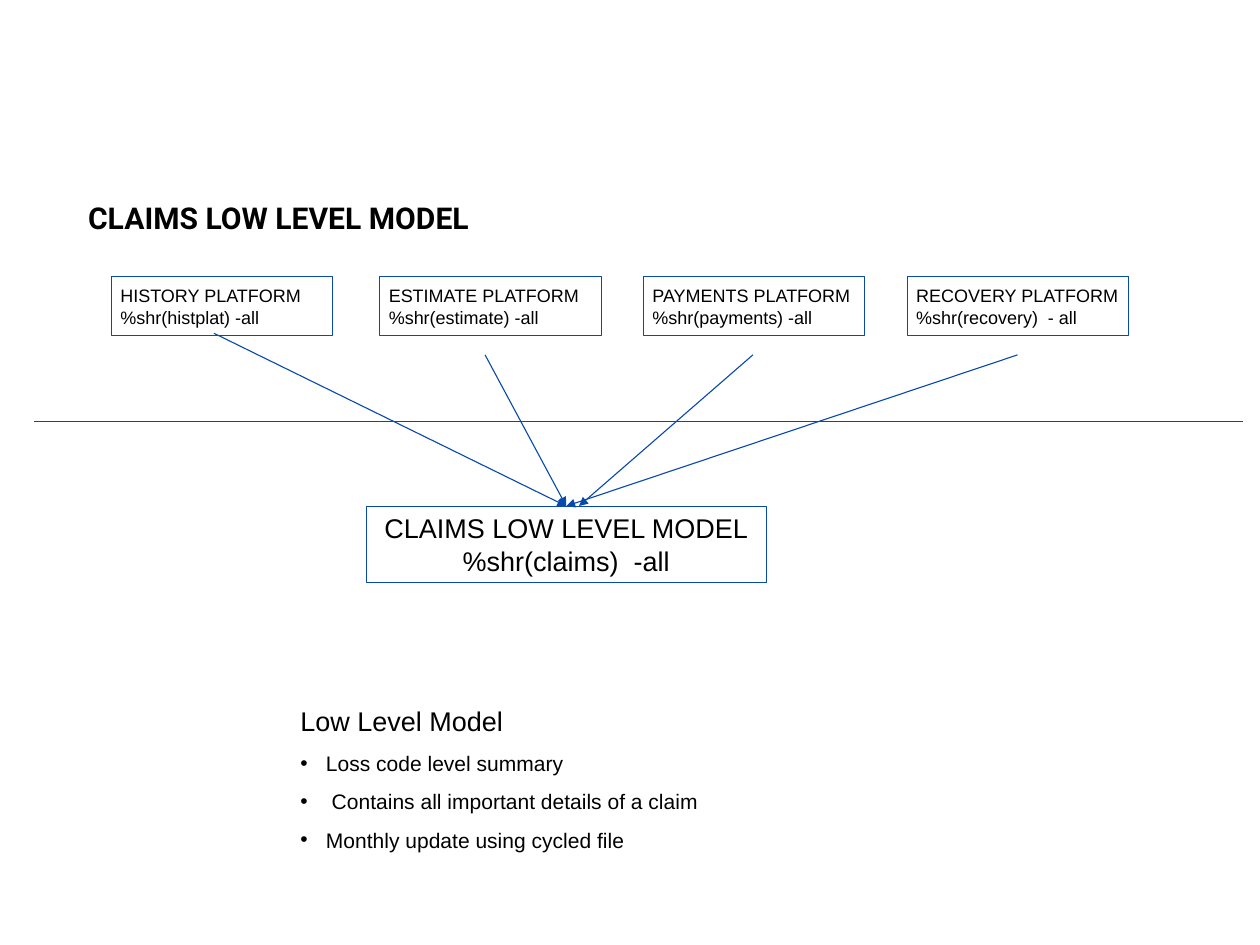
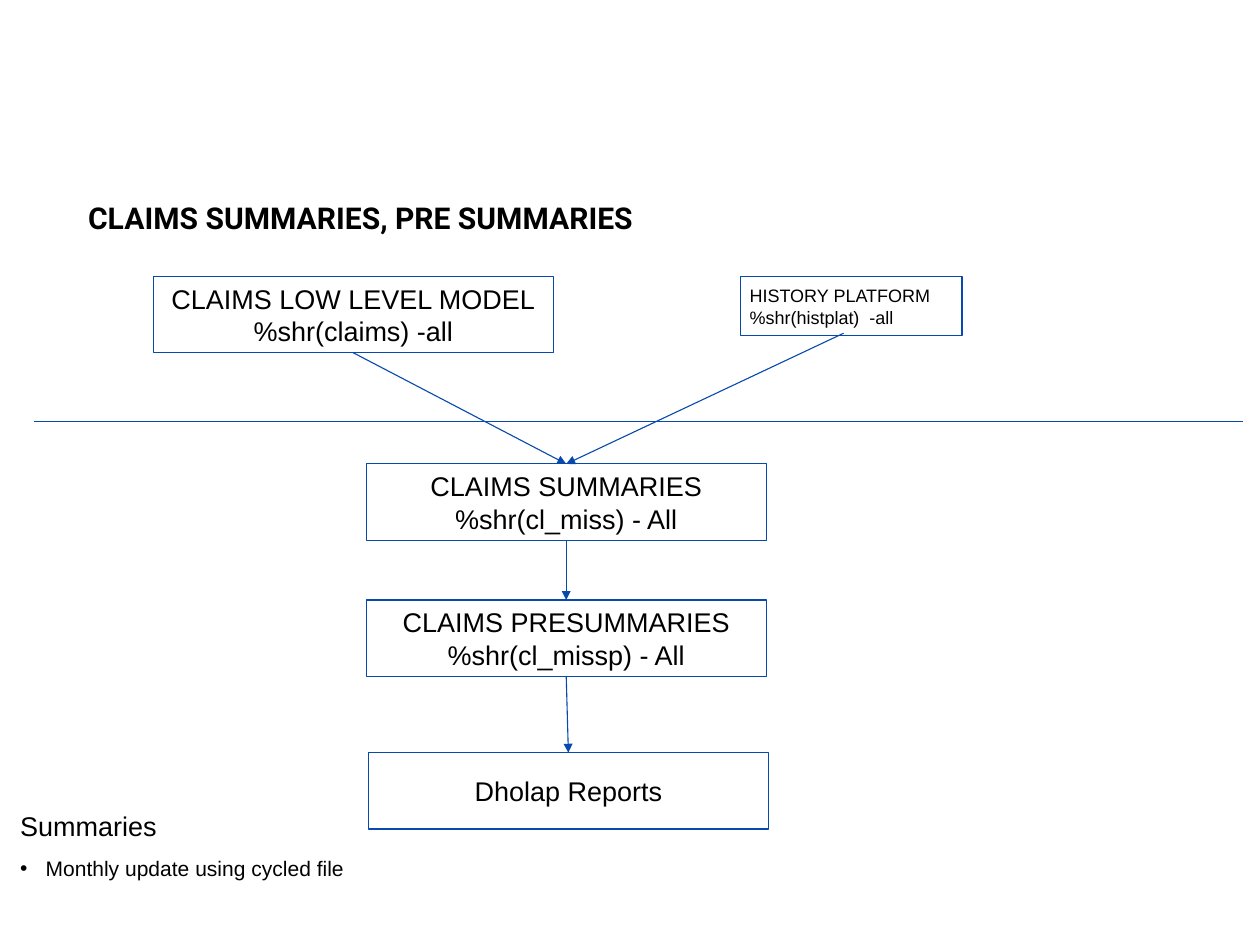
from lxml.etree import SubElement
from pptx import Presentation
from pptx.dml.color import RGBColor
from pptx.enum.shapes import MSO_CONNECTOR, MSO_SHAPE
from pptx.enum.text import MSO_ANCHOR, MSO_AUTO_SIZE, PP_ALIGN
from pptx.oxml.ns import qn
from pptx.util import Pt

COLORS = {"line": "0849AE", "text": "000000"}
TITLE_FONT, BODY_FONT = "Roboto", "Arial"
SLIDE_SIZE = (839.75, 630)
TITLE_AREA = (51.5, 123.1, 711.4, 38.9)
DIVIDER = ((23, 280.8), (828.5, 280.8))
TOP_ROW = 184.3
CENTER_LEFT = 244.1
BULLET_INDENT = 17
TOP, BOTTOM = 0, 2

# A source box is small with left text; a model box is large with centred text.
BOX_STYLES = {
    "source": {"size": (147.6, 39.6), "font": 12, "align": PP_ALIGN.LEFT,
               "anchor": MSO_ANCHOR.TOP, "margins": (6, 5.4, 0, 0)},
    "model": {"size": (266.6, 50.9), "font": 18, "align": PP_ALIGN.CENTER,
              "anchor": MSO_ANCHOR.MIDDLE, "margins": (7.2, 3.6, 7.2, 3.6)},
}

# Boxes: name -> (style, left, top, text).
# Arrows: each end is a box name (joined at its side) or a free point.
PAGES = [
    {
        "title": "CLAIMS LOW LEVEL MODEL",
        "boxes": {
            "history": ("source", 74.2, TOP_ROW, "HISTORY PLATFORM\n%shr(histplat) -all"),
            "estimate": ("source", 253.1, TOP_ROW, "ESTIMATE PLATFORM\n%shr(estimate) -all"),
            "payments": ("source", 428.8, TOP_ROW, "PAYMENTS PLATFORM\n%shr(payments) -all"),
            "recovery": ("source", 604.6, TOP_ROW, "RECOVERY PLATFORM\n%shr(recovery)  - all"),
            "claims": ("model", CENTER_LEFT, 337.4, "CLAIMS LOW LEVEL MODEL\n%shr(claims)  -all"),
        },
        "arrows": [
            ((142.6, 222.2), "claims"),
            ((323.3, 236.6), "claims"),
            ((501.8, 236.6), (385.9, 337.4)),
            ((678.2, 236.6), "claims"),
        ],
        "notes_area": (193, 466.2, 334.8, 157),
        "heading": "Low Level Model",
        "bullets": ["Loss code level summary",
                    " Contains all important details of a claim",
                    "Monthly update using cycled file"],
    },
    {
        "title": "CLAIMS SUMMARIES, PRE SUMMARIES",
        "boxes": {
            "history": ("source", 493.6, TOP_ROW, "HISTORY PLATFORM\n%shr(histplat)  -all"),
            "claims": ("model", 102.2, TOP_ROW, "CLAIMS LOW LEVEL MODEL\n%shr(claims) -all"),
            "summaries": ("model", CENTER_LEFT, 309.3, "CLAIMS SUMMARIES\n%shr(cl_miss) - All"),
            "presummaries": ("model", CENTER_LEFT, 400, "CLAIMS PRESUMMARIES\n%shr(cl_missp) - All"),
            "reports": ("model", 245.5, 501.8, "Dholap Reports"),
        },
        "arrows": [
            ("claims", "summaries"),
            ((562.2, 222.2), "summaries"),
            ("summaries", "presummaries"),
            ("presummaries", "reports"),
        ],
        "notes_area": (6.2, 536.1, 334.8, 90),
        "heading": "Summaries",
        "bullets": ["Monthly update using cycled file"],
    },
]


def color(name):
    return RGBColor.from_string(COLORS[name])


def format_runs(para, font, size, bold=False):
    for span in para.runs:
        span.font.name = font
        span.font.size = Pt(size)
        span.font.bold = bold
        span.font.color.rgb = color("text")


def place(shape, area):
    shape.left, shape.top, shape.width, shape.height = map(Pt, area)


def set_frame(frame, anchor, margins):
    frame.word_wrap = True
    frame.auto_size = MSO_AUTO_SIZE.NONE
    frame.vertical_anchor = anchor
    (frame.margin_left, frame.margin_top,
     frame.margin_right, frame.margin_bottom) = map(Pt, margins)


def fill_title(shape, text):
    place(shape, TITLE_AREA)
    frame = shape.text_frame
    set_frame(frame, MSO_ANCHOR.TOP, (7.2, 3.6, 7.2, 3.6))
    frame.text = text
    para = frame.paragraphs[0]
    para.alignment = PP_ALIGN.LEFT
    para.line_spacing = Pt(30)
    format_runs(para, TITLE_FONT, 20, bold=True)


def fill_notes(shape, area, heading, bullets):
    """Write an unbulleted heading followed by a bulleted list."""
    place(shape, area)
    frame = shape.text_frame
    set_frame(frame, MSO_ANCHOR.TOP, (7.2, 3.6, 7.2, 3.6))
    frame.text = "\n".join([heading, *bullets])
    for index, para in enumerate(frame.paragraphs):
        is_heading = index == 0
        para.space_before = Pt(11.2 if is_heading else 8.8)
        format_runs(para, BODY_FONT, 18 if is_heading else 14)
        indent = 0 if is_heading else Pt(BULLET_INDENT)
        properties = para._p.get_or_add_pPr()
        properties.set("marL", str(indent))
        properties.set("indent", str(-indent))
        if is_heading:
            SubElement(properties, qn("a:buNone"))


def add_box(page, style_name, left, top, text):
    style = BOX_STYLES[style_name]
    box = page.shapes.add_shape(MSO_SHAPE.RECTANGLE, 0, 0, 0, 0)
    place(box, (left, top, *style["size"]))
    box.shadow.inherit = False
    box.fill.background()
    box.line.color.rgb = color("line")
    box.line.width = Pt(0.75)
    frame = box.text_frame
    set_frame(frame, style["anchor"], style["margins"])
    frame.text = text
    for para in frame.paragraphs:
        para.alignment = style["align"]
        format_runs(para, BODY_FONT, style["font"])
    return box


def add_line(page, start, end):
    line = page.shapes.add_connector(MSO_CONNECTOR.STRAIGHT, *map(Pt, (*start, *end)))
    line.line.color.rgb = color("line")
    line.line.width = Pt(0.75)
    SubElement(line._element.spPr, qn("a:effectLst"))
    return line


def add_arrow(page, boxes, start, end):
    """Draw an arrow; named ends join the bottom or top of that box."""
    start_box, end_box = boxes.get(start), boxes.get(end)
    arrow = add_line(page, (0, 0) if start_box else start, (0, 0) if end_box else end)
    if start_box:
        arrow.begin_connect(start_box, BOTTOM)
    if end_box:
        arrow.end_connect(end_box, TOP)
    SubElement(arrow.line._get_or_add_ln(), qn("a:tailEnd"), type="triangle")


def build_page(deck, content):
    page = deck.slides.add_slide(deck.slide_layouts[1])
    fill_title(page.shapes.title, content["title"])
    fill_notes(page.placeholders[1], content["notes_area"],
               content["heading"], content["bullets"])
    add_line(page, *DIVIDER)
    boxes = {name: add_box(page, *box) for name, box in content["boxes"].items()}
    for start, end in content["arrows"]:
        add_arrow(page, boxes, start, end)


def main():
    deck = Presentation()
    deck.slide_width, deck.slide_height = map(Pt, SLIDE_SIZE)
    for content in PAGES:
        build_page(deck, content)
    deck.save("out.pptx")


if __name__ == "__main__":
    main()
